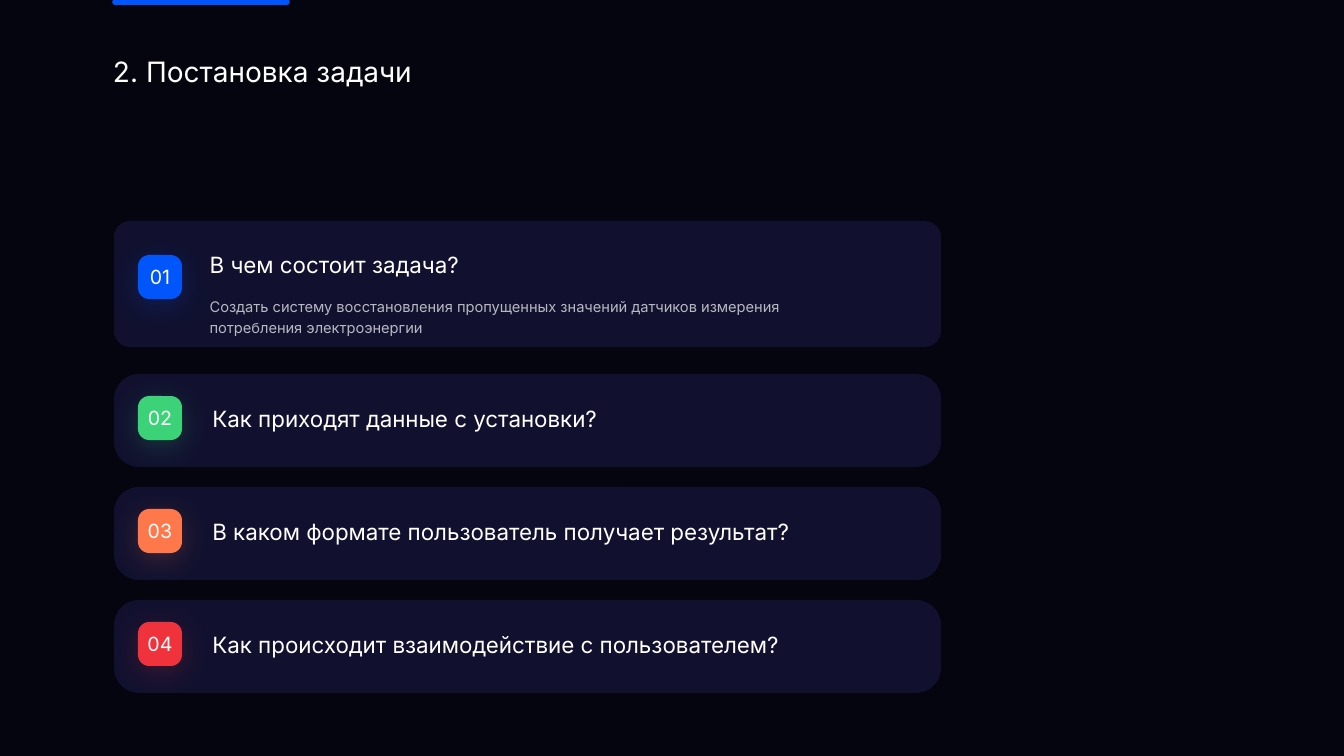
from dataclasses import dataclass

import pptx
import pptx.dml.color
import pptx.enum.shapes
import pptx.enum.text
import pptx.oxml
import pptx.oxml.ns
import pptx.util

ANCHOR = pptx.enum.text.MSO_ANCHOR
ALIGN = pptx.enum.text.PP_ALIGN
SLIDE_W, SLIDE_H = 1344, 756
EMU_PER_PX = 12192000 / SLIDE_W
FONT = "Inter"
COLORS = {
    "background": "05050F",
    "card": "11112F",
    "text": "FFFFFF",
    "blue": "0056FB",
    "green": "3CD278",
    "orange": "FF784B",
    "red": "F0323C",
}
CARD_LEFT, CARD_W = 114, 827
FIRST_TOP, FIRST_H = 221, 126
ROW_TOP, ROW_H, ROW_STEP = 374, 93, 113
BADGE_LEFT, BADGE_SIZE = 138, 44


@dataclass
class Card:
    question: str
    color: str
    top: int
    height: int = ROW_H
    corner: float = 0.27
    badge_offset: int = 22
    anchor: ANCHOR = ANCHOR.MIDDLE
    inset_top: int = 0
    inset_bottom: int = 10
    answer: str = ""


CARDS = [
    Card(
        "В чем состоит задача?", "blue", FIRST_TOP, FIRST_H,
        corner=0.126, badge_offset=34, anchor=ANCHOR.TOP,
        inset_top=20, inset_bottom=0,
        answer="Создать систему восстановления пропущенных значений "
               "датчиков измерения потребления электроэнергии",
    ),
    Card("Как приходят данные с установки?", "green", ROW_TOP),
    Card("В каком формате пользователь получает результат?", "orange",
         ROW_TOP + ROW_STEP),
    Card("Как происходит взаимодействие с пользователем?", "red",
         ROW_TOP + 2 * ROW_STEP),
]


def px(value: float) -> pptx.util.Emu:
    return pptx.util.Emu(round(value * EMU_PER_PX))


def rgb(name: str) -> pptx.dml.color.RGBColor:
    return pptx.dml.color.RGBColor.from_string(COLORS[name])


def xml(text: str):
    ns = pptx.oxml.ns.nsdecls("a")
    return pptx.oxml.parse_xml(text.replace("NS", ns, 1))


def setup_frame(tf, anchor: ANCHOR, insets: tuple[int, int, int, int]) -> None:
    tf.word_wrap = True
    tf.auto_size = pptx.enum.text.MSO_AUTO_SIZE.NONE
    tf.vertical_anchor = anchor
    tf.margin_left, tf.margin_top, tf.margin_right, tf.margin_bottom = map(px, insets)


def write(p, text: str, *, size: float, align: ALIGN = ALIGN.LEFT,
          spacing: float = 1.0, before: float = 0, alpha: int = 100) -> None:
    p.alignment = align
    p.line_spacing = spacing
    p.space_before = pptx.util.Pt(before)
    r = p.add_run()
    r.text = text
    r.font.name = FONT
    r.font.size = pptx.util.Pt(size)
    r.font.color.rgb = rgb("text")
    if alpha < 100:
        color = r.font.fill._xPr.find(".//" + pptx.oxml.ns.qn("a:srgbClr"))
        color.append(xml(f'<a:alpha NS val="{alpha * 1000}"/>'))


def add_round_rect(shapes, left: int, top: int, width: int, height: int,
                   corner: float, color: str):
    sp = shapes.add_shape(pptx.enum.shapes.MSO_SHAPE.ROUNDED_RECTANGLE,
                          px(left), px(top), px(width), px(height))
    sp.adjustments[0] = corner
    sp.fill.solid()
    sp.fill.fore_color.rgb = rgb(color)
    sp.line.fill.background()
    sp.shadow.inherit = False
    return sp


def add_glow(sp, color: str) -> None:
    effects = sp._element.spPr.find(pptx.oxml.ns.qn("a:effectLst"))
    blur, dist = pptx.util.Pt(20), pptx.util.Pt(5)
    effects.append(xml(
        f'<a:outerShdw NS blurRad="{blur}" dist="{dist}" dir="5400000" '
        f'algn="t" rotWithShape="0"><a:srgbClr val="{COLORS[color]}">'
        '<a:alpha val="20000"/></a:srgbClr></a:outerShdw>'))


def add_card(slide, number: int, card: Card) -> None:
    shapes = slide.shapes.add_group_shape().shapes
    sp = add_round_rect(shapes, CARD_LEFT, card.top, CARD_W, card.height,
                        card.corner, "card")
    tf = sp.text_frame
    setup_frame(tf, card.anchor, (91, card.inset_top, 60, card.inset_bottom))
    write(tf.paragraphs[0], card.question, size=16, spacing=1.2, before=12)
    if card.answer:
        write(tf.add_paragraph(), card.answer, size=10.5, spacing=1.2,
              before=12, alpha=70)

    badge = add_round_rect(shapes, BADGE_LEFT, card.top + card.badge_offset,
                           BADGE_SIZE, BADGE_SIZE, 0.256, card.color)
    add_glow(badge, card.color)
    setup_frame(badge.text_frame, ANCHOR.MIDDLE, (0, 0, 0, 0))
    write(badge.text_frame.paragraphs[0], f"{number:02}", size=14,
          align=ALIGN.CENTER)


def add_accent(slide) -> None:
    line = slide.shapes.add_connector(pptx.enum.shapes.MSO_CONNECTOR.STRAIGHT,
                                      px(115), px(2), px(287), px(2))
    line.line.color.rgb = rgb("blue")
    line.line.width = pptx.util.Pt(4)
    line.line._ln.set("cap", "rnd")
    line._element.spPr.append(xml("<a:effectLst NS/>"))


def set_title(slide, text: str) -> None:
    title = slide.shapes.title
    title.left, title.top, title.width, title.height = map(px, (113, 58, 1117, 113))
    setup_frame(title.text_frame, ANCHOR.TOP, (0, 0, 0, 0))
    write(title.text_frame.paragraphs[0], text, size=20, spacing=0.9)


def main() -> None:
    prs = pptx.Presentation()
    prs.slide_width, prs.slide_height = px(SLIDE_W), px(SLIDE_H)
    slide = prs.slides.add_slide(prs.slide_layouts.get_by_name("Title Only"))
    slide.background.fill.solid()
    slide.background.fill.fore_color.rgb = rgb("background")
    add_accent(slide)
    set_title(slide, "2. Постановка задачи")
    for number, card in enumerate(CARDS, start=1):
        add_card(slide, number, card)
    prs.save("out.pptx")


if __name__ == "__main__":
    main()
